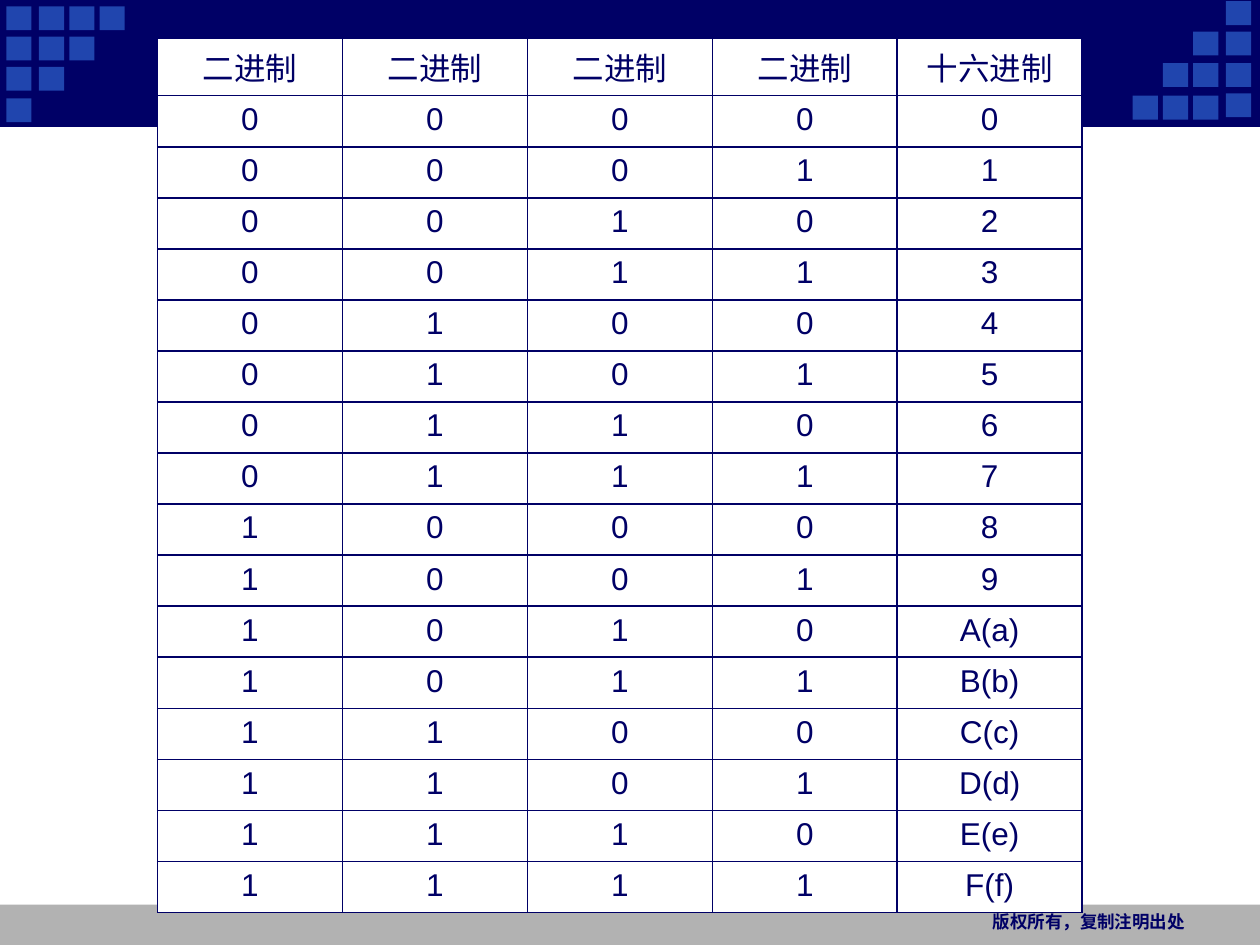
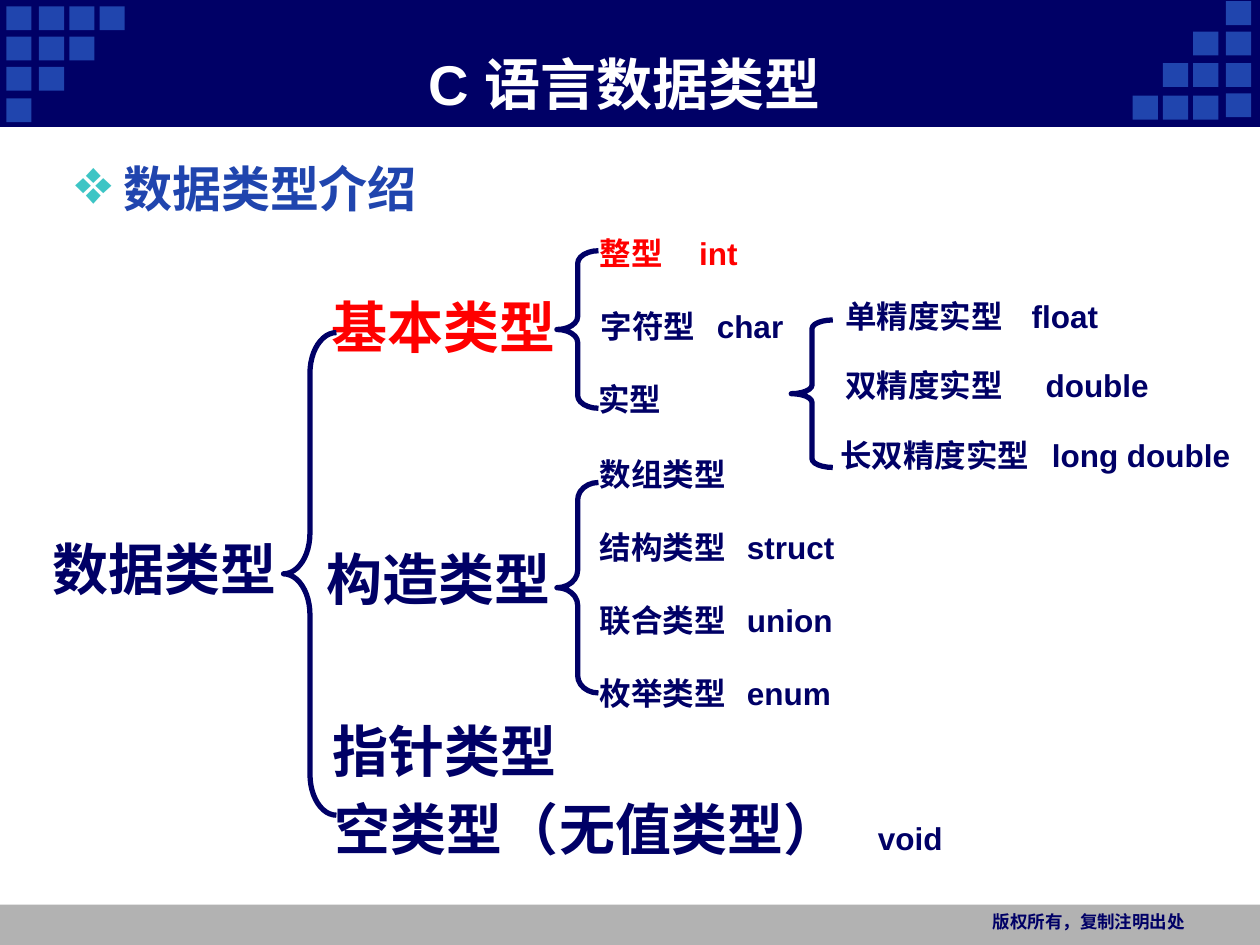
from lxml.etree import SubElement
from pptx import Presentation
from pptx.dml.color import RGBColor
from pptx.enum.shapes import MSO_SHAPE
from pptx.enum.text import MSO_ANCHOR, PP_ALIGN
from pptx.oxml.ns import qn
from pptx.util import Inches, Pt

COLORS = {
    "navy": "000066",
    "blue": "2045AE",
    "teal": "3DC5C5",
    "gray": "B2B2B2",
    "red": "FF0000",
    "white": "FFFFFF",
}
SQUARE_LEFTS = [0.05, 0.31, 0.55, 0.79]
LEFT_CORNER_TOPS = [0.05, 0.29, 0.53, 0.78]
RIGHT_CORNER_TOPS = [0.76, 0.5, 0.25, 0.01]
TITLE_ONLY, BLANK = 5, 6


def rgb(name):
    return RGBColor.from_string(COLORS[name])


class Deck:
    def __init__(self):
        self.presentation = Presentation()
        self.presentation.slide_width = Inches(10)
        self.presentation.slide_height = Inches(7.5)
        self.slide = None

    def new_slide(self, title=None):
        layout = self.presentation.slide_layouts[BLANK if title is None else TITLE_ONLY]
        self.slide = self.presentation.slides.add_slide(layout)
        self.rectangle(0, 7.18, 10, 0.33, "gray")
        self.rectangle(0, 0, 10, 1, "navy", outlined=True)
        self.corner_squares()
        self.text("版权所有，复制注明出处", 7.6, 7.18, 1.9, 0.32, 10,
                  font="Courier New", align=PP_ALIGN.RIGHT)
        if title is not None:
            self.title(title)

    def corner_squares(self):
        for row, (left_top, right_top) in enumerate(zip(LEFT_CORNER_TOPS, RIGHT_CORNER_TOPS)):
            for column, left in enumerate(SQUARE_LEFTS[:4 - row]):
                lift = 0.02 if row == 0 and column == 0 else 0
                self.rectangle(left, left_top, 0.2, 0.19, "blue")
                self.rectangle(9.78 - left, right_top - lift, 0.2, 0.19, "blue")

    def rectangle(self, left, top, width, height, color, outlined=False):
        shape = self.slide.shapes.add_shape(
            MSO_SHAPE.RECTANGLE, Inches(left), Inches(top), Inches(width), Inches(height))
        shape.shadow.inherit = False
        shape.fill.solid()
        shape.fill.fore_color.rgb = rgb(color)
        if outlined:
            shape.line.color.rgb = rgb(color)
            shape.line.width = Pt(0.75)
        else:
            shape.line.fill.background()

    def style(self, paragraph, size, color, bold=True, font="Arial", align=PP_ALIGN.LEFT):
        paragraph.alignment = align
        paragraph.font.name = font
        paragraph.font.size = Pt(size)
        paragraph.font.bold = bold
        paragraph.font.color.rgb = rgb(color)

    def title(self, text):
        shape = self.slide.shapes.title
        self.slide.shapes.element.append(shape.element)
        shape.left, shape.top = Inches(0.92), Inches(0.35)
        shape.width, shape.height = Inches(8.08), Inches(0.62)
        shape.text_frame.text = text
        shape.text_frame.vertical_anchor = MSO_ANCHOR.MIDDLE
        self.style(shape.text_frame.paragraphs[0], 32, "white", align=PP_ALIGN.CENTER)

    def text(self, text, left, top, width, height, size, color="navy", **options):
        box = self.slide.shapes.add_textbox(
            Inches(left), Inches(top), Inches(width), Inches(height))
        box.text_frame.word_wrap = True
        paragraph = box.text_frame.paragraphs[0]
        paragraph.text = text
        self.style(paragraph, size, color, **options)
        return paragraph

    def bullet(self, text, left, top, width, height):
        paragraph = self.text(text, left, top, width, height, 28, "blue", font="Courier New")
        properties = paragraph._p.get_or_add_pPr()
        properties.set("marL", str(Inches(0.38)))
        properties.set("indent", str(Inches(-0.38)))
        bullet_color = SubElement(properties, qn("a:buClr"))
        SubElement(bullet_color, qn("a:srgbClr"), val=COLORS["teal"])
        SubElement(properties, qn("a:buSzPct"), val="130000")
        SubElement(properties, qn("a:buChar"), char="❖")
        properties.append(properties.find(qn("a:defRPr")))

    def type_label(self, name, keyword, left, top, tab, color="navy"):
        paragraph = self.text(name, left, top, 3.35, 0.4, 18, color)
        if keyword:
            self.add_keyword(paragraph, keyword, tab)

    def add_keyword(self, paragraph, keyword, tab):
        run = paragraph.add_run()
        run.text = "\t" + keyword
        properties = paragraph._p.get_or_add_pPr()
        tabs = SubElement(properties, qn("a:tabLst"))
        SubElement(tabs, qn("a:tab"), pos=str(Inches(tab)), algn="l")
        properties.append(properties.find(qn("a:defRPr")))
        return run

    def brace(self, left, top, width, height, curve):
        shape = self.slide.shapes.add_shape(
            MSO_SHAPE.LEFT_BRACE, Inches(left), Inches(top), Inches(width), Inches(height))
        shape.shadow.inherit = False
        shape.adjustments[0] = curve
        shape.fill.background()
        shape.line.color.rgb = rgb("navy")
        shape.line.width = Pt(3)

    def table(self, rows, left, top, width, height, header_height):
        table = self.slide.shapes.add_table(
            len(rows), len(rows[0]), Inches(left), Inches(top),
            Inches(width), Inches(height)).table
        table.rows[0].height = Inches(header_height)
        for row, values in zip(table.rows, rows):
            for cell, value in zip(row.cells, values):
                cell.text = value
                self.style(cell.text_frame.paragraphs[0], 18, "navy", bold=False,
                           align=PP_ALIGN.CENTER)
                self.cell_borders(cell)
                cell.fill.solid()
                cell.fill.fore_color.rgb = rgb("white")

    def cell_borders(self, cell):
        properties = cell._tc.get_or_add_tcPr()
        for side in ("a:lnL", "a:lnR", "a:lnT", "a:lnB"):
            line = SubElement(properties, qn(side), w=str(Pt(1)))
            fill = SubElement(line, qn("a:solidFill"))
            SubElement(fill, qn("a:srgbClr"), val=COLORS["navy"])


def hex_label(number):
    return f"{number:X}({number:x})" if number > 9 else str(number)


def build_number_table(deck):
    deck.new_slide()
    header = ["二进制"] * 4 + ["十六进制"]
    rows = [[*f"{number:04b}", hex_label(number)] for number in range(16)]
    deck.table([header] + rows, 1.25, 0.3, 7.34, 6.89, 0.46)


def build_data_types(deck):
    deck.new_slide("C 语言数据类型")
    deck.bullet("数据类型介绍", 0.5, 1.21, 9, 0.65)

    for name, left, top, color in [
        ("数据类型", 0.32, 4.19, "navy"),
        ("基本类型", 2.53, 2.27, "red"),
        ("构造类型", 2.49, 4.27, "navy"),
        ("指针类型", 2.54, 5.64, "navy"),
    ]:
        deck.text(name, left, top, 2.1, 0.63, 32, color)
    empty_type = deck.text("空类型（无值类型）", 2.56, 6.26, 5.21, 0.64, 32)
    deck.add_keyword(empty_type, "void", 4.31).font.size = Pt(18)

    basic_types = [("整型", "int", 4.66, 0.79, "red"), ("字符型", "char", 4.67, 0.92, "navy"),
                   ("实型", "", 4.65, 0, "navy")]
    for index, (name, keyword, left, tab, color) in enumerate(basic_types):
        deck.type_label(name, keyword, left, 1.81 + 0.58 * index, tab, color)

    built_types = [("数组类型", ""), ("结构类型", "struct"),
                   ("联合类型", "union"), ("枚举类型", "enum")]
    for index, (name, keyword) in enumerate(built_types):
        deck.type_label(name, keyword, 4.66, 3.56 + 0.58 * index, 1.17)

    real_types = [("单精度实型", "float", 6.61, 1.48), ("双精度实型", "double", 6.61, 1.59),
                  ("长双精度实型", "long double", 6.57, 1.68)]
    for index, (name, keyword, left, tab) in enumerate(real_types):
        deck.type_label(name, keyword, left, 2.31 + 0.55 * index, tab)

    deck.brace(2.25, 2.64, 0.42, 3.83, 0.77)
    deck.brace(4.42, 1.99, 0.33, 1.25, 0.31)
    deck.brace(4.42, 3.83, 0.33, 1.67, 0.42)
    deck.brace(6.28, 2.54, 0.33, 1.17, 0.21)


def main():
    deck = Deck()
    build_number_table(deck)
    build_data_types(deck)
    deck.presentation.save("out.pptx")


if __name__ == "__main__":
    main()
